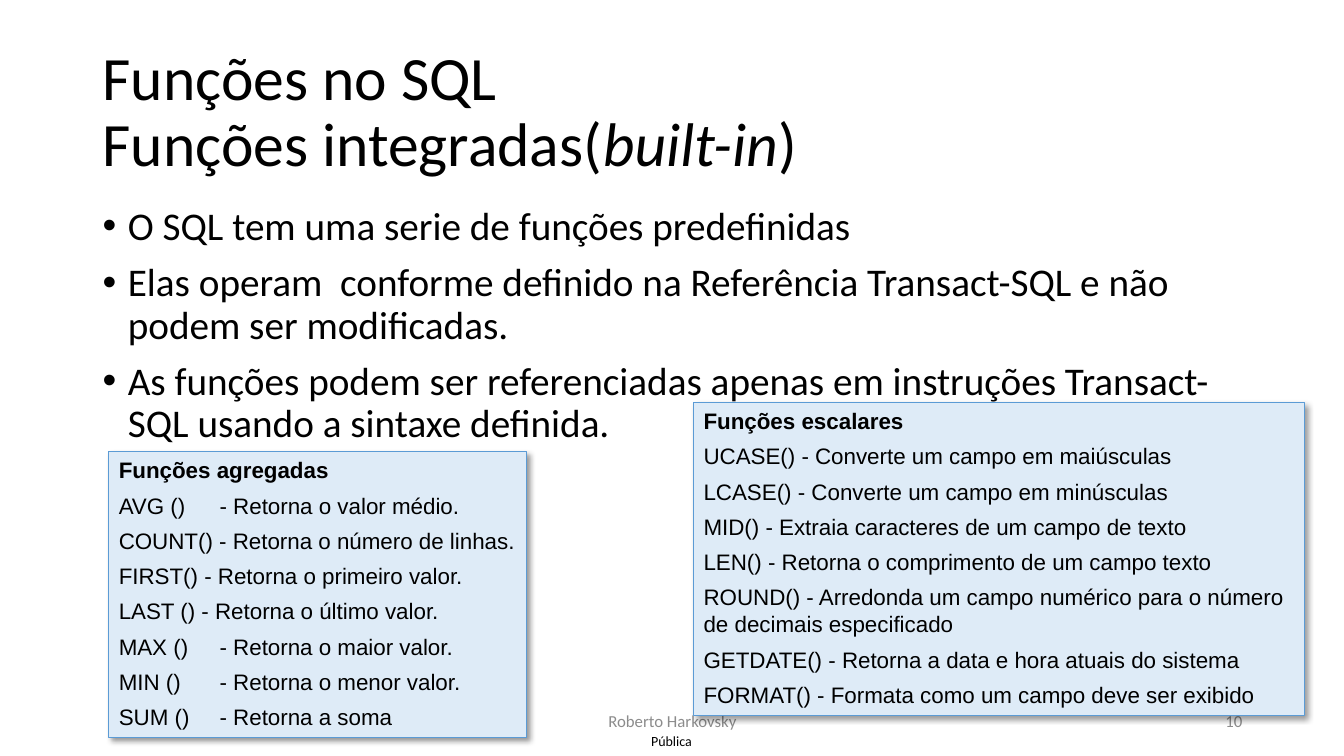
from lxml import etree
from pptx import Presentation
from pptx.dml.color import RGBColor
from pptx.enum.shapes import MSO_SHAPE
from pptx.enum.text import MSO_ANCHOR, PP_ALIGN
from pptx.oxml import parse_xml
from pptx.oxml.ns import qn
from pptx.util import Inches, Pt

BLACK = RGBColor(0x00, 0x00, 0x00)
GRAY = RGBColor(0x8C, 0x8C, 0x8C)
PALE = RGBColor(0xDE, 0xEB, 0xF7)
BLUE = RGBColor(0x5B, 0x9B, 0xD5)
RECT = MSO_SHAPE.RECTANGLE
TOP, MIDDLE = MSO_ANCHOR.TOP, MSO_ANCHOR.MIDDLE
LEFT, CENTER, RIGHT = PP_ALIGN.LEFT, PP_ALIGN.CENTER, PP_ALIGN.RIGHT

SHADOW = (
    '<a:effectLst xmlns:a="http://schemas.openxmlformats.org/drawingml/2006/main">'
    '<a:outerShdw blurRad="50800" dist="38100" dir="2700000" algn="tl" rotWithShape="0">'
    '<a:srgbClr val="000000"><a:alpha val="40000"/></a:srgbClr>'
    '</a:outerShdw></a:effectLst>'
)

POINTS = [
    "O SQL tem uma serie de funções predefinidas",
    "Elas operam  conforme definido na Referência Transact-SQL e não podem ser modificadas.",
    "As funções podem ser referenciadas apenas em instruções Transact-SQL usando a sintaxe definida.",
]
GROUPS = [
    ((1.08, 4.48, 4.14, 2.84), [
        "Funções agregadas",
        "AVG ()\t- Retorna o valor médio.",
        "COUNT() - Retorna o número de linhas.",
        "FIRST() - Retorna o primeiro valor.",
        "LAST () - Retorna o último valor.",
        "MAX () \t- Retorna o maior valor.",
        "MIN () \t- Retorna o menor valor.",
        "SUM () \t- Retorna a soma",
    ]),
    ((6.88, 3.99, 6.06, 3.11), [
        "Funções escalares",
        "UCASE() - Converte um campo em maiúsculas",
        "LCASE() - Converte um campo em minúsculas",
        "MID() - Extraia caracteres de um campo de texto",
        "LEN() - Retorna o comprimento de um campo texto",
        "ROUND() - Arredonda um campo numérico para o número de decimais especificado",
        "GETDATE() - Retorna a data e hora atuais do sistema",
        "FORMAT() - Formata como um campo deve ser exibido",
    ]),
]
LABELS = [
    ("Pública", (6.31, 7.21, 0.7, 0.29), 10, BLACK, CENTER),
    ("Roberto Harkovsky", (4.42, 6.95, 4.5, 0.4), 12, GRAY, CENTER),
    ("10", (9.42, 6.95, 3, 0.4), 12, GRAY, RIGHT),
]


def style(para, size, face="Calibri", color=BLACK):
    """Format every run of a paragraph."""
    for run in para.runs:
        run.font.size = Pt(size)
        run.font.name = face
        run.font.color.rgb = color


def add_text(slide, box, anchor=TOP):
    """Add a wrapping text box and return its text frame."""
    frame = slide.shapes.add_textbox(*map(Inches, box)).text_frame
    frame.word_wrap = True
    frame.vertical_anchor = anchor
    return frame


def add_title(slide, box):
    """Write the two-line title with its italic term."""
    para = add_text(slide, box, MIDDLE).paragraphs[0]
    para.text = "Funções no SQL\nFunções integradas("
    term = para.add_run()
    term.text = "built-in"
    term.font.italic = True
    para.add_run().text = ")"
    para.line_spacing = 0.9
    style(para, 44)


def add_body(slide, box):
    """Write the bulleted points."""
    frame = add_text(slide, box)
    frame.text = "\n".join(POINTS)
    for para in frame.paragraphs:
        para.line_spacing = 0.9
        para.space_before = Pt(10)
        props = para._p.get_or_add_pPr()
        props.set("marL", str(Inches(0.25)))
        props.set("indent", str(Inches(-0.25)))
        etree.SubElement(props, qn("a:buFont")).set("typeface", "Arial")
        etree.SubElement(props, qn("a:buChar")).set("char", "•")
        style(para, 28)


def add_label(slide, text, box, size, color, align):
    """Write one small line at the foot of the slide."""
    frame = add_text(slide, box, MIDDLE)
    frame.margin_left = frame.margin_right = Inches(0.1 if box[2] > 1 else 0)
    frame.margin_top = frame.margin_bottom = 0
    frame.text = text
    para = frame.paragraphs[0]
    para.alignment = align
    style(para, size, color=color)


def add_panel(slide, box, lines):
    """Draw a shadowed panel with a bold heading and its functions."""
    panel = slide.shapes.add_shape(RECT, *map(Inches, box))
    panel.fill.solid()
    panel.fill.fore_color.rgb = PALE
    panel.line.color.rgb = BLUE
    panel.line.width = Pt(0.5)
    panel._element.spPr.append(parse_xml(SHADOW))
    frame = panel.text_frame
    frame.word_wrap = True
    frame.vertical_anchor = TOP
    frame.text = "\n".join(lines)
    for para in frame.paragraphs:
        para.alignment = LEFT
        para.space_after = Pt(6)
        style(para, 16, "Arial")
    frame.paragraphs[0].runs[0].font.bold = True


def main():
    """Build and save the slide."""
    deck = Presentation()
    deck.slide_width, deck.slide_height = Inches(13.33), Inches(7.5)
    slide = deck.slides.add_slide(deck.slide_layouts[6])
    add_title(slide, (0.92, 0.4, 11.5, 1.45))
    add_body(slide, (0.92, 2, 11.5, 4.76))
    for label in LABELS:
        add_label(slide, *label)
    for box, lines in GROUPS:
        add_panel(slide, box, lines)
    deck.save("out.pptx")


if __name__ == "__main__":
    main()
